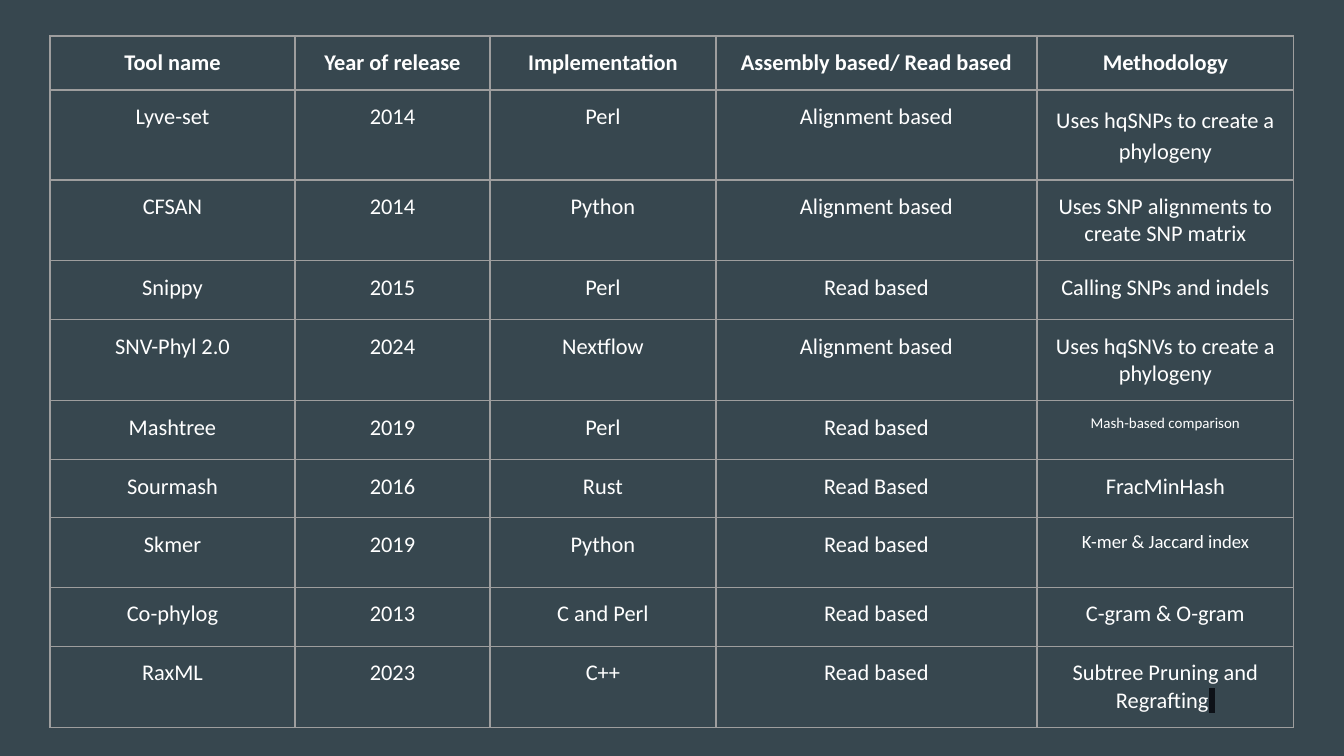
from lxml.etree import SubElement
from pptx import Presentation
from pptx.dml.color import RGBColor
from pptx.enum.text import PP_ALIGN
from pptx.oxml.ns import qn
from pptx.util import Emu, Pt

EMU_PER_PX = 914400 / 134.4
SLATE = RGBColor(0x37, 0x47, 0x4F)
WHITE = RGBColor(0xFF, 0xFF, 0xFF)
GRID = RGBColor(0x9E, 0x9E, 0x9E)
CODE_TEXT = RGBColor(0xE6, 0xED, 0xF3)
CODE_BACK = RGBColor(0x0D, 0x11, 0x17)

COLUMN_WIDTHS = [245, 195, 226, 321, 257]
ROW_HEIGHTS = [54, 90, 81, 59, 81, 59, 58, 70, 59, 81]
CELL_MARGIN = 13
METHOD_SIZES = {"Mash-based comparison": 8, "K-mer & Jaccard index": 10}

TOOLS = [
    ("Tool name", "Year of release", "Implementation", "Assembly based/ Read based", "Methodology"),
    ("Lyve-set", "2014", "Perl", "Alignment based", "Uses hqSNPs to create a phylogeny"),
    ("CFSAN", "2014", "Python", "Alignment based", "Uses SNP alignments to create SNP matrix"),
    ("Snippy", "2015", "Perl", "Read based", "Calling SNPs and indels"),
    ("SNV-Phyl 2.0", "2024", "Nextflow", "Alignment based", "Uses hqSNVs to create a phylogeny"),
    ("Mashtree", "2019", "Perl", "Read based", "Mash-based comparison"),
    ("Sourmash", "2016", "Rust", "Read Based", "FracMinHash"),
    ("Skmer", "2019", "Python", "Read based", "K-mer & Jaccard index"),
    ("Co-phylog", "2013", "C and Perl", "Read based", "C-gram & O-gram"),
    ("RaxML", "2023", "C++", "Read based", "Subtree Pruning and Regrafting"),
]


def px(length):
    return Emu(round(length * EMU_PER_PX))


def add_color(parent, tag, color):
    SubElement(SubElement(parent, qn(tag)), qn("a:srgbClr"), val=str(color))


def outline_cell(cell):
    properties = cell._tc.get_or_add_tcPr()
    for side in ("a:lnL", "a:lnR", "a:lnT", "a:lnB"):
        border = SubElement(properties, qn(side), w=str(Pt(0.75)))
        add_color(border, "a:solidFill", GRID)


def style_font(font, name, size, color, bold):
    font.size, font.bold = Pt(size), bold
    font.color.rgb = color
    font.name = name


def fill_cell(cell, text, is_header):
    outline_cell(cell)
    cell.fill.background()
    cell.margin_left = cell.margin_right = px(CELL_MARGIN)
    cell.margin_top = cell.margin_bottom = px(CELL_MARGIN)
    cell.text = text
    paragraph = cell.text_frame.paragraphs[0]
    paragraph.alignment = PP_ALIGN.CENTER
    style_font(paragraph.font, "Calibri", METHOD_SIZES.get(text, 12), WHITE, is_header)
    return paragraph


def add_code_mark(paragraph):
    """End the paragraph with a space on a dark highlight."""
    mark = paragraph.add_run()
    mark.text = " "
    mark.font.color.rgb = CODE_TEXT
    add_color(mark.font._element, "a:highlight", CODE_BACK)
    mark.font.name = "Arial"


def add_tool_table(slide, left, top):
    frame = slide.shapes.add_table(
        len(TOOLS), len(COLUMN_WIDTHS), px(left), px(top),
        px(sum(COLUMN_WIDTHS)), px(sum(ROW_HEIGHTS)))
    table = frame.table
    table.first_row = table.horz_banding = False
    for column, width in zip(table.columns, COLUMN_WIDTHS):
        column.width = px(width)
    for row, height in zip(table.rows, ROW_HEIGHTS):
        row.height = px(height)

    methods = []
    for row_index, tool in enumerate(TOOLS):
        for cell, text in zip(table.rows[row_index].cells, tool):
            paragraph = fill_cell(cell, text, row_index == 0)
        methods.append(paragraph)
    methods[1].line_spacing = 1.15
    methods[1].space_after = Pt(12)
    add_code_mark(methods[-1])


def main():
    deck = Presentation()
    deck.slide_width, deck.slide_height = px(1344), px(756)
    slide = deck.slides.add_slide(deck.slide_layouts[6])
    slide.background.fill.solid()
    slide.background.fill.fore_color.rgb = SLATE
    add_tool_table(slide, left=50, top=36)
    deck.save("out.pptx")


if __name__ == "__main__":
    main()
